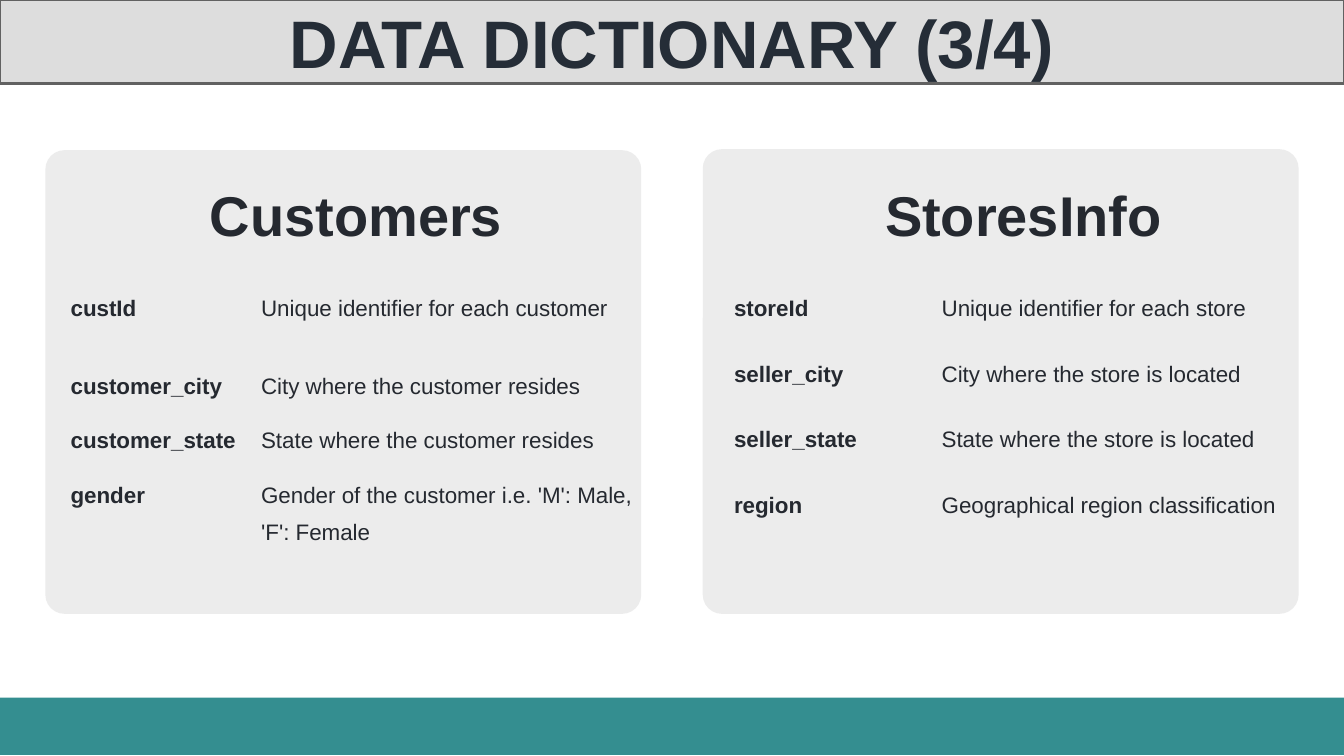
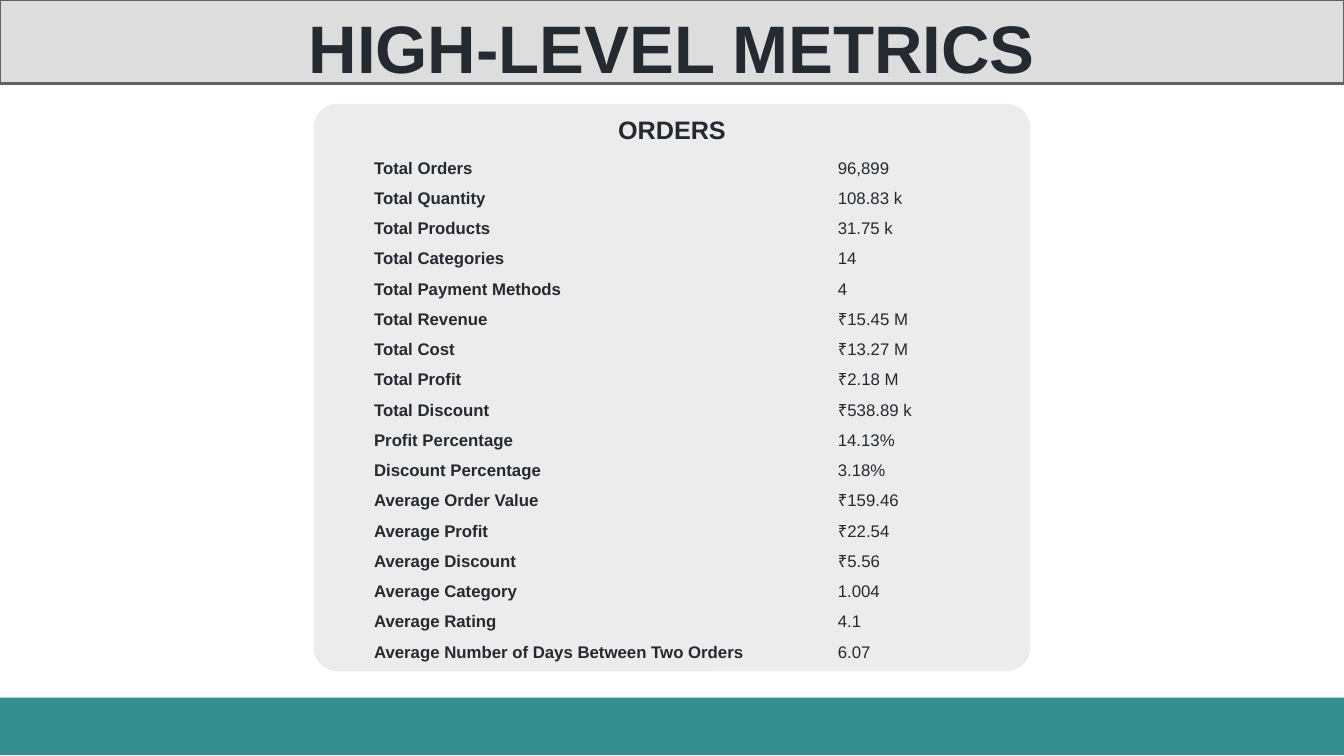
from dataclasses import dataclass

from lxml.etree import SubElement
from pptx import Presentation
from pptx.dml.color import RGBColor
from pptx.enum.shapes import MSO_SHAPE
from pptx.enum.text import MSO_ANCHOR, MSO_AUTO_SIZE, PP_ALIGN
from pptx.oxml.ns import qn
from pptx.util import Inches, Pt


@dataclass(frozen=True)
class Theme:
    font: str = "Arial"
    ink: RGBColor = RGBColor(0x25, 0x29, 0x30)
    title_ink: RGBColor = RGBColor(0x25, 0x2D, 0x37)
    grey: RGBColor = RGBColor(0xDD, 0xDD, 0xDD)
    border: RGBColor = RGBColor(0x61, 0x61, 0x61)
    teal: RGBColor = RGBColor(0x34, 0x8E, 0x90)
    title: int = 48
    heading: int = 40
    subheading: int = 18
    field: int = 16
    metric: int = 12
    card_opacity: int = 54
    plain_table: str = "{2D5ABB26-0587-4C30-8999-92F81FD0307C}"


T = Theme()
SLIDE_W, SLIDE_H = 13.33, 7.5
BAND_H, FOOTER_TOP, FOOTER_H = 0.83, 6.92, 0.57

DICTIONARY = [
    {
        "heading": "Customers",
        "heading_box": (1.64, 1.9, 3.78, 0.58),
        "card": (0.45, 1.49, 5.91, 4.6),
        "table_at": (0.7, 2.82),
        "columns": (1.89, 3.77),
        "heights": (0.77, 0.54, 0.54, 0.85),
        "rows": [
            ("custId", "Unique identifier for each customer"),
            ("customer_city", "City where the customer resides"),
            ("customer_state", "State where the customer resides"),
            ("gender", "Gender of the customer i.e. 'M': Male, 'F': Female"),
        ],
    },
    {
        "heading": "StoresInfo",
        "heading_box": (8.26, 1.9, 3.78, 0.58),
        "card": (6.97, 1.48, 5.91, 4.61),
        "table_at": (7.28, 2.82),
        "columns": (2.06, 3.47),
        "heights": (0.65,) * 4,
        "rows": [
            ("storeId", "Unique identifier for each store"),
            ("seller_city", "City where the store is located"),
            ("seller_state", "State where the store is located"),
            ("region", "Geographical region classification"),
        ],
    },
]

METRICS = [
    ("Total Orders", "96,899"),
    ("Total Quantity", "108.83 k"),
    ("Total Products", "31.75 k"),
    ("Total Categories", "14"),
    ("Total Payment Methods", "4"),
    ("Total Revenue", "₹15.45 M"),
    ("Total Cost", "₹13.27 M"),
    ("Total Profit", "₹2.18 M"),
    ("Total Discount", "₹538.89 k"),
    ("Profit Percentage", "14.13%"),
    ("Discount Percentage", "3.18%"),
    ("Average Order Value", "₹159.46"),
    ("Average Profit", "₹22.54"),
    ("Average Discount", "₹5.56"),
    ("Average Category", "1.004"),
    ("Average Rating", "4.1"),
    ("Average Number of Days Between Two Orders", "6.07"),
]


def inches(values):
    return [Inches(v) for v in values]


def set_margins(target, value):
    target.margin_left = target.margin_right = Inches(value)
    target.margin_top = target.margin_bottom = Inches(value)


def write(tf, text, size, bold=True, color=T.ink, align=PP_ALIGN.LEFT, spacing=None):
    p = tf.paragraphs[0]
    p.alignment = align
    if spacing is not None:
        p.line_spacing = spacing
    r = p.add_run()
    r.text = text
    r.font.name, r.font.size, r.font.bold = T.font, Pt(size), bold
    r.font.color.rgb = color
    return p


def add_block(s, kind, box, color):
    """Add a flat, borderless filled shape."""
    sp = s.shapes.add_shape(kind, *inches(box))
    sp.shadow.inherit = False
    sp.fill.solid()
    sp.fill.fore_color.rgb = color
    sp.line.fill.background()
    return sp


def add_card(s, box, radius):
    sp = add_block(s, MSO_SHAPE.ROUNDED_RECTANGLE, box, T.grey)
    sp.adjustments[0] = radius / min(box[2:])
    srgb = next(sp._element.spPr.iter(qn("a:srgbClr")))
    SubElement(srgb, qn("a:alpha"), val=str(T.card_opacity * 1000))


def add_heading(s, text, box, size, spacing=None):
    tf = s.shapes.add_textbox(*inches(box)).text_frame
    tf.word_wrap = True
    set_margins(tf, 0)
    write(tf, text, size, align=PP_ALIGN.CENTER, spacing=spacing)
    return tf


def add_pairs(s, rows, at, columns, heights, size, airy=False):
    """Add a two-column table: bold names, plain values."""
    table = s.shapes.add_table(
        len(rows), 2, *inches((*at, sum(columns), sum(heights)))).table
    table.first_row = table.horz_banding = False
    table._tbl.tblPr.find(qn("a:tableStyleId")).text = T.plain_table
    for column, width in zip(table.columns, columns):
        column.width = Inches(width)
    for i, (pair, height) in enumerate(zip(rows, heights)):
        table.rows[i].height = Inches(height)
        for j, text in enumerate(pair):
            cell = table.cell(i, j)
            cell.fill.background()
            cell.vertical_anchor = MSO_ANCHOR.TOP if airy else MSO_ANCHOR.MIDDLE
            p = write(cell.text_frame, text, size, bold=j == 0)
            if airy:
                set_margins(cell, 0)
                p.line_spacing = 1.5
                p.space_before = Pt(1.2)


def new_slide(prs, title, color=T.ink, spacing=None):
    s = prs.slides.add_slide(prs.slide_layouts[5])
    add_block(s, MSO_SHAPE.RECTANGLE, (0, FOOTER_TOP, SLIDE_W, FOOTER_H), T.teal)
    sp = s.shapes.title
    sp.left, sp.top, sp.width, sp.height = inches((0, 0, SLIDE_W, BAND_H))
    sp.fill.solid()
    sp.fill.fore_color.rgb = T.grey
    sp.line.color.rgb = T.border
    sp.line.width = Pt(2)
    tf = sp.text_frame
    tf.auto_size = MSO_AUTO_SIZE.NONE
    tf.vertical_anchor = MSO_ANCHOR.MIDDLE
    write(tf, title, T.title, color=color, align=PP_ALIGN.CENTER, spacing=spacing)
    return s


def build_dictionary(prs):
    s = new_slide(prs, "DATA DICTIONARY (3/4)", T.title_ink)
    for entity in DICTIONARY:
        add_card(s, entity["card"], 0.19)
        add_heading(s, entity["heading"], entity["heading_box"],
                    T.heading, Pt(T.heading))
        add_pairs(s, entity["rows"], entity["table_at"], entity["columns"],
                  entity["heights"], T.field, airy=True)


def build_metrics(prs):
    s = new_slide(prs, "HIGH-LEVEL METRICS", spacing=Pt(64.3))
    add_card(s, (3.11, 1.03, 7.11, 5.63), 0.24)
    add_pairs(s, METRICS, (3.61, 1.52), (4.6, 1.52),
              [0.3] * len(METRICS), T.metric)
    tf = add_heading(s, "ORDERS", (5.96, 1.08, 1.41, 0.4), T.subheading)
    tf.vertical_anchor = MSO_ANCHOR.MIDDLE


def main():
    prs = Presentation()
    prs.slide_width, prs.slide_height = inches((SLIDE_W, SLIDE_H))
    build_dictionary(prs)
    build_metrics(prs)
    prs.save("out.pptx")


if __name__ == "__main__":
    main()
